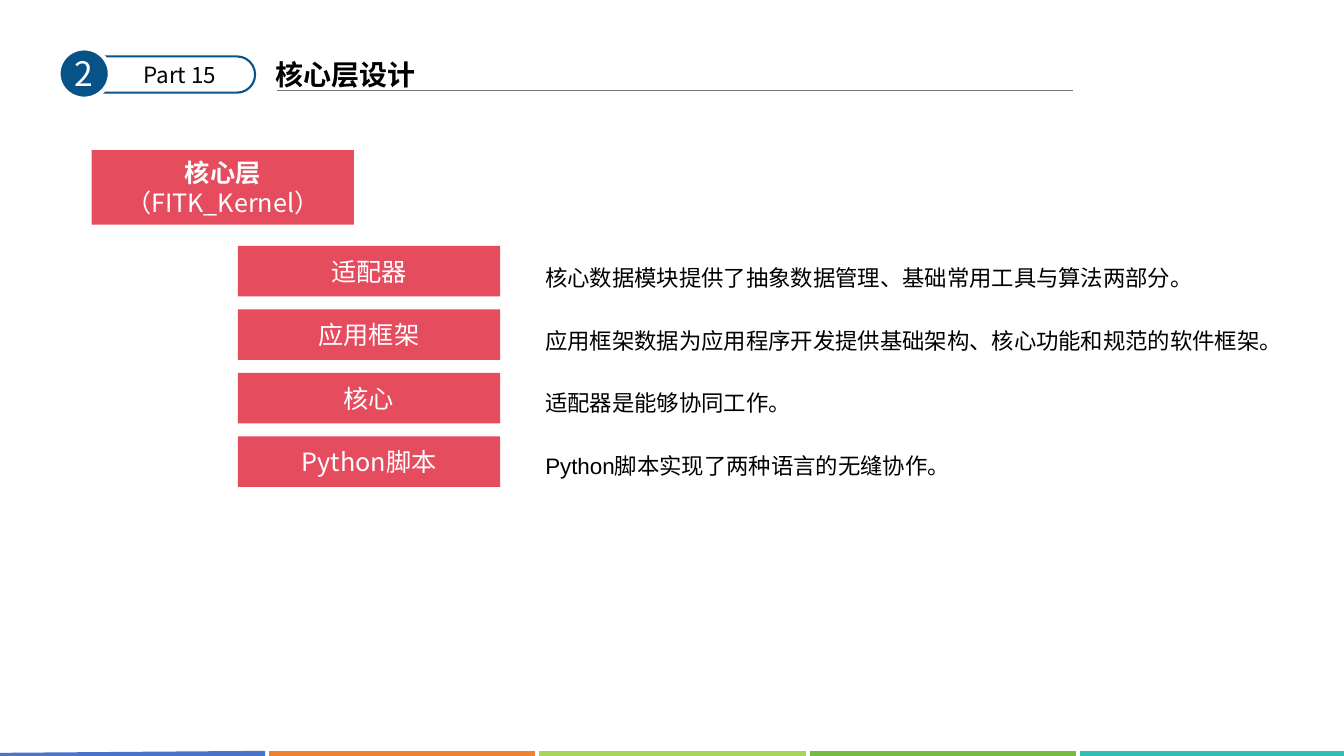
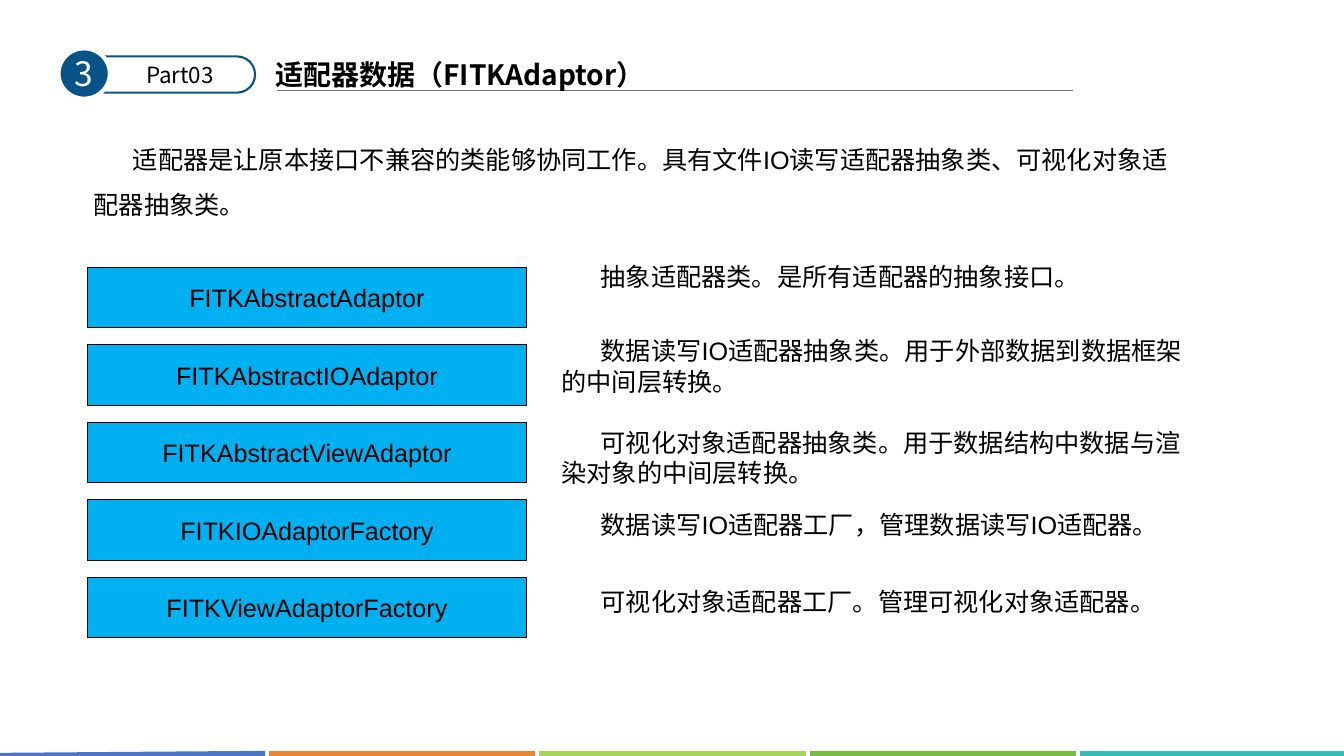
"""Build two slides on the core layer and its adaptor classes."""
from lxml import etree
from pptx import Presentation
from pptx.dml.color import RGBColor
from pptx.enum import shapes, text
from pptx.oxml import ns
from pptx.util import Inches, Pt

CJK, LATIN = "Noto Sans CJK SC", "Arial"
BLACK = RGBColor(0x00, 0x00, 0x00)
WHITE = RGBColor(0xFF, 0xFF, 0xFF)
GRAY = RGBColor(0x76, 0x71, 0x71)
NAVY = RGBColor(0x07, 0x53, 0x87)
RED = RGBColor(0xE5, 0x4C, 0x5E)
SKY = RGBColor(0x00, 0xB0, 0xF0)
BAND_COLORS = [RGBColor.from_string(code)
               for code in ("4874CB", "EE822F", "A6D659", "75BD42", "30C0B4")]
INDENT = 0.39

CORE_TITLE = ("2", "Part 15", "核心层设计")
CORE_LINES = ["核心层", "（FITK_Kernel）"]
CORE_PARTS = [
    ("适配器", "核心数据模块提供了抽象数据管理、基础常用工具与算法两部分。", CJK, 7.45),
    ("应用框架", "应用框架数据为应用程序开发提供基础架构、核心功能和规范的软件框架。", CJK, 7.45),
    ("核心", "适配器是能够协同工作。", LATIN, 7.84),
    ("Python脚本", "Python脚本实现了两种语言的无缝协作。", LATIN, 7.84),
]

ADAPTOR_TITLE = ("3", "Part03", "适配器数据（FITKAdaptor）")
ADAPTOR_INTRO = ("适配器是让原本接口不兼容的类能够协同工作。"
                 "具有文件IO读写适配器抽象类、可视化对象适配器抽象类。")
ADAPTOR_CLASSES = [
    ("FITKAbstractAdaptor", "抽象适配器类。是所有适配器的抽象接口。", 2.54, 0.4),
    ("FITKAbstractIOAdaptor", "数据读写IO适配器抽象类。用于外部数据到数据框架的中间层转换。", 3.28, 0.71),
    ("FITKAbstractViewAdaptor", "可视化对象适配器抽象类。用于数据结构中数据与渲染对象的中间层转换。", 4.19, 0.71),
    ("FITKIOAdaptorFactory", "数据读写IO适配器工厂，管理数据读写IO适配器。", 5, 0.4),
    ("FITKViewAdaptorFactory", "可视化对象适配器工厂。管理可视化对象适配器。", 5.77, 0.4),
]


def write(box, lines, size, font=CJK, color=BLACK, bold=False, center=False,
          spacing=None, indent=0):
    frame = box.text_frame
    frame.word_wrap = True
    frame.text = "\n".join(lines)
    for para in frame.paragraphs:
        para.alignment = text.PP_ALIGN.CENTER if center else text.PP_ALIGN.LEFT
        para.line_spacing = spacing
        para.font.size, para.font.bold = Pt(size), bold
        para.font.color.rgb = color
        para.font.name = font
        properties = para._p.get_or_add_pPr()
        properties.set("indent", str(Inches(indent)))
        east_asian = etree.SubElement(properties.find(ns.qn("a:defRPr")), ns.qn("a:ea"))
        east_asian.set("typeface", CJK)


def add_text(page, place, line, size, middle=False, **style):
    box = page.shapes.add_textbox(*map(Inches, place))
    write(box, [line], size, **style)
    box.text_frame.auto_size = text.MSO_AUTO_SIZE.SHAPE_TO_FIT_TEXT
    if middle:
        box.text_frame.vertical_anchor = text.MSO_ANCHOR.MIDDLE


def add_box(page, kind, place, fill, line=None, width=0):
    box = page.shapes.add_shape(kind, *map(Inches, place))
    box.shadow.inherit = False
    box.fill.solid()
    box.fill.fore_color.rgb = fill
    if line is None:
        box.line.fill.background()
    else:
        box.line.color.rgb = line
        box.line.width = Pt(width)
    box.text_frame.vertical_anchor = text.MSO_ANCHOR.MIDDLE
    return box


def add_line(page, ends, color, width):
    line = page.shapes.add_connector(shapes.MSO_CONNECTOR.STRAIGHT, *map(Inches, ends))
    line.line.color.rgb = color
    line.line.width = Pt(width)
    etree.SubElement(line._element.spPr, ns.qn("a:effectLst"))


def add_page(deck, number, part, title):
    page = deck.slides.add_slide(deck.slide_layouts[6])
    for index, color in enumerate(BAND_COLORS):
        left = -0.01 + 2.68 * index
        start = 7.48 if index else 7.5
        add_line(page, (left, start, left + 2.64, 7.48), color, 4.5)
    add_line(page, (2.75, 0.9, 10.64, 0.9), GRAY, 1)
    add_text(page, (2.63, 0.52, 8.86, 0.44), title, 20, bold=True)
    pill = add_box(page, shapes.MSO_SHAPE.ROUNDED_RECTANGLE,
                   (0.65, 0.56, 1.88, 0.36), WHITE, NAVY, 1.5)
    pill.adjustments[0] = 0.5
    badge = add_box(page, shapes.MSO_SHAPE.OVAL, (0.58, 0.48, 0.51, 0.5), NAVY, WHITE, 3)
    write(badge, [number], 24, color=WHITE, center=True)
    badge.text_frame.word_wrap = False
    add_text(page, (0.81, 0.56, 1.95, 0.37), part, 16, center=True)
    return page


def add_core_page(deck):
    page = add_page(deck, *CORE_TITLE)
    core = add_box(page, shapes.MSO_SHAPE.RECTANGLE, (0.91, 1.49, 2.6, 0.74), RED)
    write(core, CORE_LINES, 18, color=WHITE, center=True)
    core.text_frame.paragraphs[0].font.bold = True
    for index, (name, note, font, width) in enumerate(CORE_PARTS):
        bar = add_box(page, shapes.MSO_SHAPE.RECTANGLE,
                      (2.36, 2.44 + 0.63 * index, 2.6, 0.5), RED)
        write(bar, [name], 18, color=WHITE, center=True)
        add_text(page, (5.31, 2.44 + 0.62 * index, width, 0.5), note, 16,
                 middle=True, font=font, spacing=1.5)


def add_adaptor_page(deck):
    page = add_page(deck, *ADAPTOR_TITLE)
    add_text(page, (0.83, 1.23, 11.08, 1.01), ADAPTOR_INTRO, 18,
             font=LATIN, spacing=1.5, indent=INDENT)
    for index, (name, note, top, height) in enumerate(ADAPTOR_CLASSES):
        bar = add_box(page, shapes.MSO_SHAPE.RECTANGLE,
                      (0.87, 2.65 + 0.77 * index, 4.35, 0.6), SKY, BLACK, 0.75)
        write(bar, [name], 18, font=LATIN, center=True)
        add_text(page, (5.47, top, 6.5, height), note, 18, font=LATIN, indent=INDENT)


def main():
    deck = Presentation()
    deck.slide_width, deck.slide_height = Inches(13.33), Inches(7.5)
    add_core_page(deck)
    add_adaptor_page(deck)
    deck.save("out.pptx")


if __name__ == "__main__":
    main()
